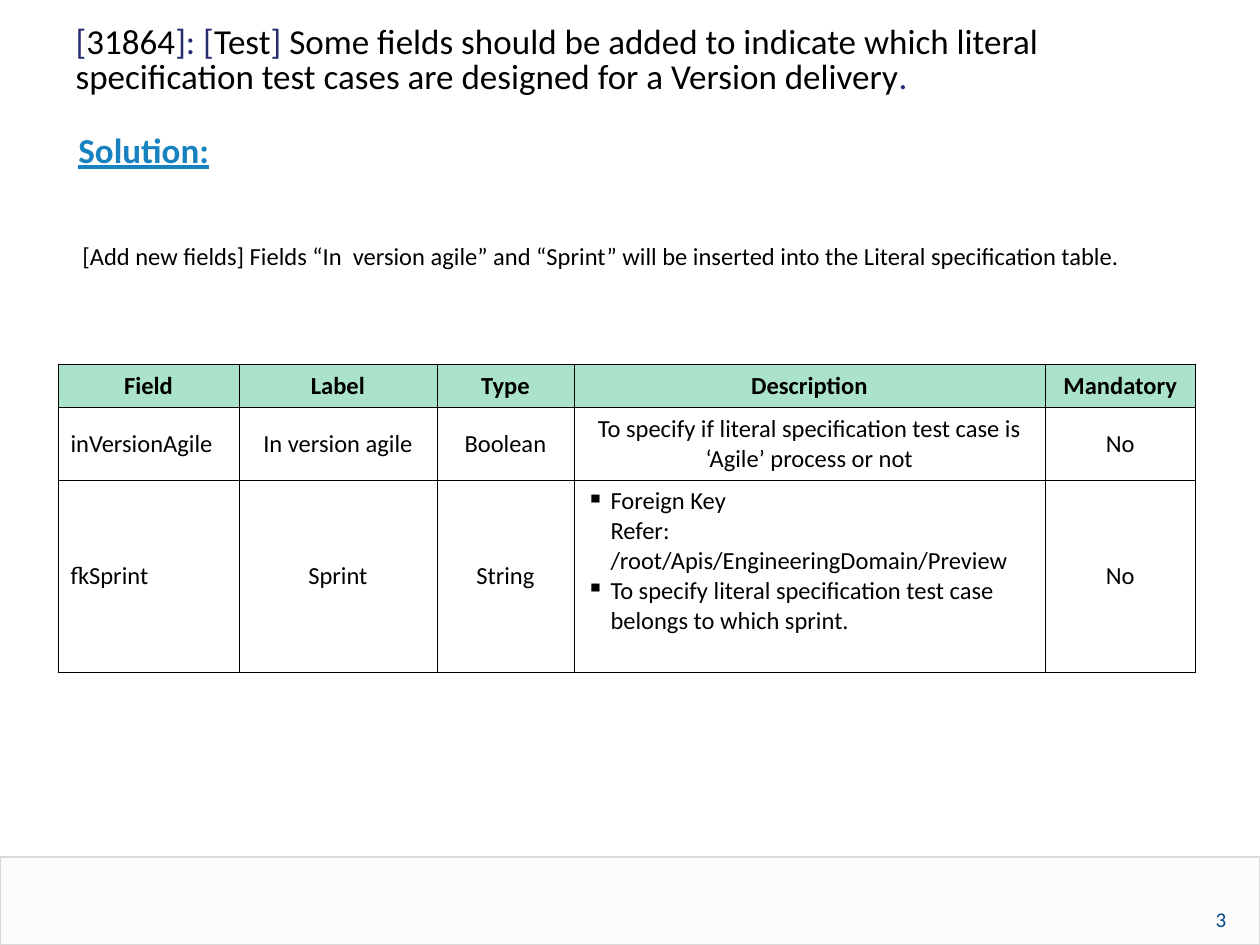
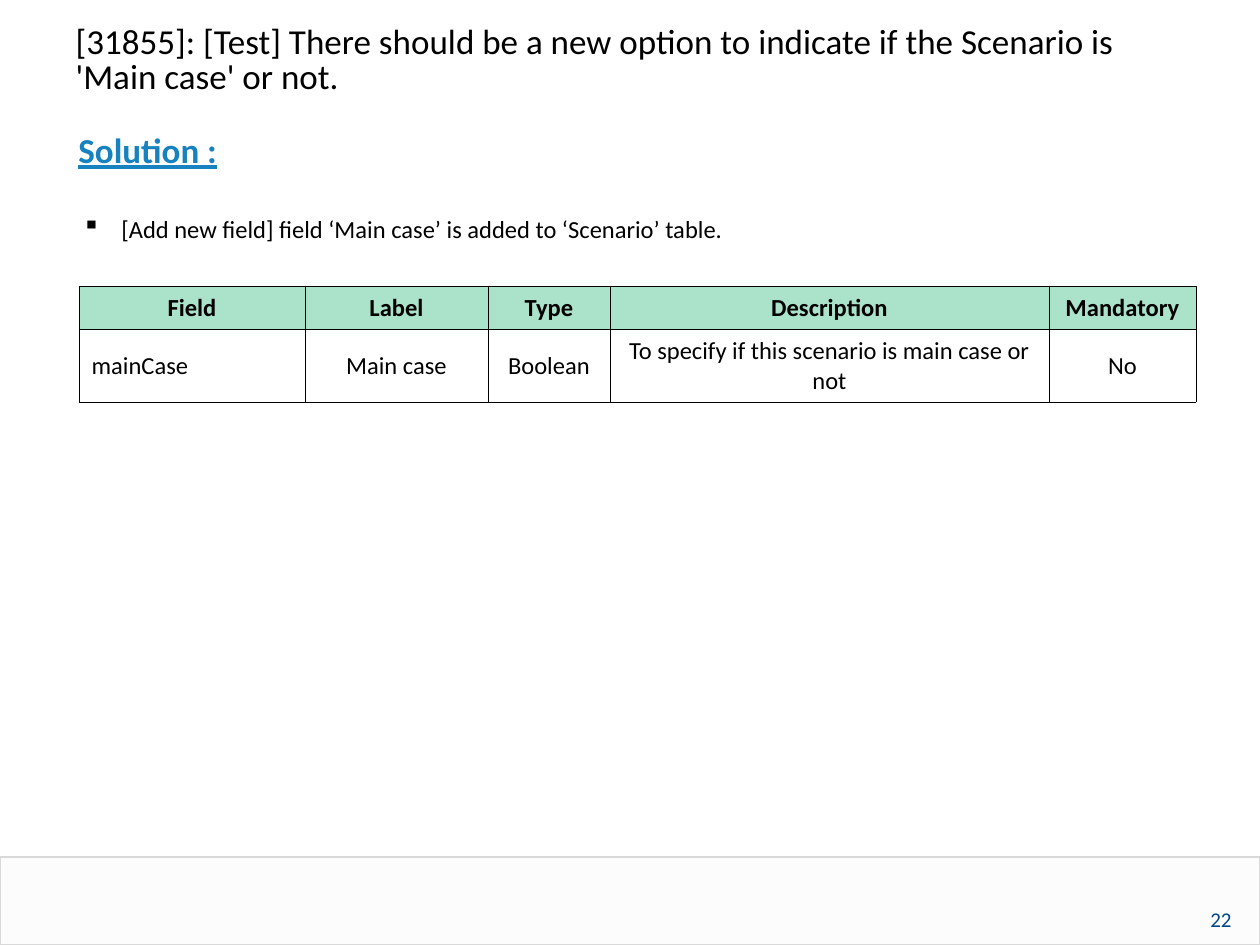
from lxml import etree
from pptx import Presentation
from pptx import util as u
from pptx.dml.color import RGBColor
from pptx.enum import shapes, text
from pptx.oxml import ns

PX = 914400 / 126
FONT = "Calibri"
BLACK = RGBColor(0x00, 0x00, 0x00)
NAVY = RGBColor(0x26, 0x2E, 0x70)
BLUE = RGBColor(0x17, 0x82, 0xBF)
NUMBER_BLUE = RGBColor(0x00, 0x45, 0x86)
MINT = RGBColor(0xAA, 0xE2, 0xCA)
BAND_FILL = RGBColor(0xF2, 0xF2, 0xF2)
BAND_LINE = RGBColor(0xD9, 0xD9, 0xD9)
LEFT, CENTER, JUSTIFY = text.PP_ALIGN.LEFT, text.PP_ALIGN.CENTER, text.PP_ALIGN.JUSTIFY
HEADERS = ["Field", "Label", "Type", "Description", "Mandatory"]


def emu(px):
    return u.Emu(round(px * PX))


def add_element(parent, tag, **attributes):
    return etree.SubElement(parent, ns.qn(tag), attributes)


def add_color(parent, color):
    return add_element(add_element(parent, "a:solidFill"), "a:srgbClr", val=str(color))


class Deck:
    def __init__(self):
        self.presentation = Presentation()
        self.presentation.slide_width = emu(1260)
        self.presentation.slide_height = emu(945)
        self.slide = None

    def start_slide(self, number, title_runs):
        layout = self.presentation.slide_layouts.get_by_name("Title Only")
        self.slide = self.presentation.slides.add_slide(layout)
        self.band()
        self.text_box((1142, 906, 158, 34), [(str(number), NUMBER_BLUE)], 12,
                      inset=False, align=CENTER, spacing=1.02)
        self.title(title_runs)

    def band(self):
        shape = self.slide.shapes.add_shape(
            shapes.MSO_SHAPE.RECTANGLE, *map(emu, (0, 857, 1260, 88)))
        shape.shadow.inherit = False
        shape.fill.solid()
        shape.fill.fore_color.rgb = BAND_FILL
        fill_color = shape._element.spPr.find(".//" + ns.qn("a:srgbClr"))
        add_element(fill_color, "a:alpha", val="20000")
        shape.line.color.rgb = BAND_LINE
        shape.line.width = u.Pt(0.75)

    def title(self, runs):
        shape = self.slide.shapes.title
        shape.left, shape.top, shape.width, shape.height = map(emu, (63, 20, 1134, 87))
        frame = shape.text_frame
        frame.auto_size = text.MSO_AUTO_SIZE.NONE
        frame.vertical_anchor = text.MSO_ANCHOR.TOP
        self.fill_paragraph(frame.paragraphs[0], runs, 20, spacing=0.83)

    def heading(self, words):
        self.text_box((63, 126, 1134, 55), [(words, BLUE)], 20, spacing=0.93,
                      indent=(48, -45), bold=True, underline=True)

    def body(self, top, height, words, **style):
        self.text_box((69, top, 1120, height), [(words, BLACK)], 14,
                      align=JUSTIFY, spacing=1.25, **style)

    def text_box(self, box, runs, size, inset=True, **style):
        frame = self.slide.shapes.add_textbox(*map(emu, box)).text_frame
        frame.word_wrap = True
        if not inset:
            frame.margin_left = frame.margin_right = 0
            frame.margin_top = frame.margin_bottom = 0
        self.fill_paragraph(frame.paragraphs[0], runs, size, **style)

    def fill_paragraph(self, paragraph, runs, size, align=LEFT, spacing=1.0, indent=None,
                       bullet=False, bold=False, underline=False):
        paragraph.alignment = align
        paragraph.line_spacing = spacing
        properties = paragraph._p.get_or_add_pPr()
        if indent:
            properties.set("marL", str(emu(indent[0])))
            properties.set("indent", str(emu(indent[1])))
        if bullet:
            bullet_color = add_element(properties, "a:buClr")
            add_element(bullet_color, "a:srgbClr", val=str(BLACK))
            add_element(properties, "a:buChar", char="▪")
        for words, color in runs:
            for index, line in enumerate(words.split("\n")):
                if index:
                    paragraph.add_line_break()
                run = paragraph.add_run()
                run.text = line
                run.font.name = FONT
                run.font.size = u.Pt(size)
                run.font.bold = bold
                run.font.underline = underline
                run.font.color.rgb = color

    def table(self, left, top, widths, heights, rows):
        rows = [HEADERS] + rows
        frame = self.slide.shapes.add_table(
            len(rows), len(widths), *map(emu, (left, top, sum(widths), sum(heights))))
        table = frame.table
        table.first_row = table.horz_banding = False
        for column, width in zip(table.columns, widths):
            column.width = emu(width)
        for row, height in zip(table.rows, heights):
            row.height = emu(height)
        for row_index, row in enumerate(rows):
            for column_index, content in enumerate(row):
                self.cell(table.cell(row_index, column_index), content,
                          header=row_index == 0, first=column_index == 0)

    def cell(self, cell, content, header, first):
        properties = cell._tc.get_or_add_tcPr()
        for side in ("a:lnL", "a:lnR", "a:lnT", "a:lnB"):
            add_color(add_element(properties, side, w=str(u.Pt(0.45))), BLACK)
        if header:
            cell.fill.solid()
            cell.fill.fore_color.rgb = MINT
        else:
            cell.fill.background()
        cell.vertical_anchor = text.MSO_ANCHOR.MIDDLE
        frame = cell.text_frame
        if isinstance(content, list):
            cell.margin_bottom = emu(36)
            for index, item in enumerate(content):
                paragraph = frame.add_paragraph() if index else frame.paragraphs[0]
                self.fill_paragraph(paragraph, [(item, BLACK)], 14,
                                    indent=(24, -24), bullet=True)
        else:
            align = LEFT if first and not header else CENTER
            self.fill_paragraph(frame.paragraphs[0], [(content, BLACK)], 14,
                                align=align, spacing=1.02, bold=header)


def main():
    deck = Deck()

    deck.start_slide(3, [
        ("[", NAVY), ("31864", BLACK), ("]: [", NAVY), ("Test", BLACK), ("] ", NAVY),
        ("Some fields should be added to indicate which literal specification test cases "
         "are designed for a Version delivery", BLACK),
        (".", NAVY),
    ])
    deck.heading("Solution:")
    deck.body(228, 267, "[Add new fields] Fields “In  version agile” and “Sprint” will be "
              "inserted into the Literal specification table.", indent=(1, 0))
    deck.table(58, 364, [181, 198, 137, 471, 151], [43, 73, 192], [
        ["inVersionAgile", "In version agile", "Boolean",
         "To specify if literal specification test case is ‘Agile’ process or not", "No"],
        ["fkSprint", "Sprint", "String",
         ["Foreign Key\nRefer: /root/Apis/EngineeringDomain/Preview",
          "To specify literal specification test case belongs to which sprint."], "No"],
    ])

    deck.start_slide(22, [
        ("[31855]: [Test] There should be a new option to indicate if the Scenario is "
         "'Main case' or not.", BLACK),
    ])
    deck.heading("Solution :")
    deck.body(200, 595, "[Add new field] field ‘Main case’ is added to ‘Scenario’ table.",
              indent=(40, -39), bullet=True)
    deck.table(79, 286, [226, 183, 122, 439, 147], [43, 73], [
        ["mainCase", "Main case", "Boolean",
         "To specify if this scenario is main case or not", "No"],
    ])

    deck.presentation.save("out.pptx")


if __name__ == "__main__":
    main()
